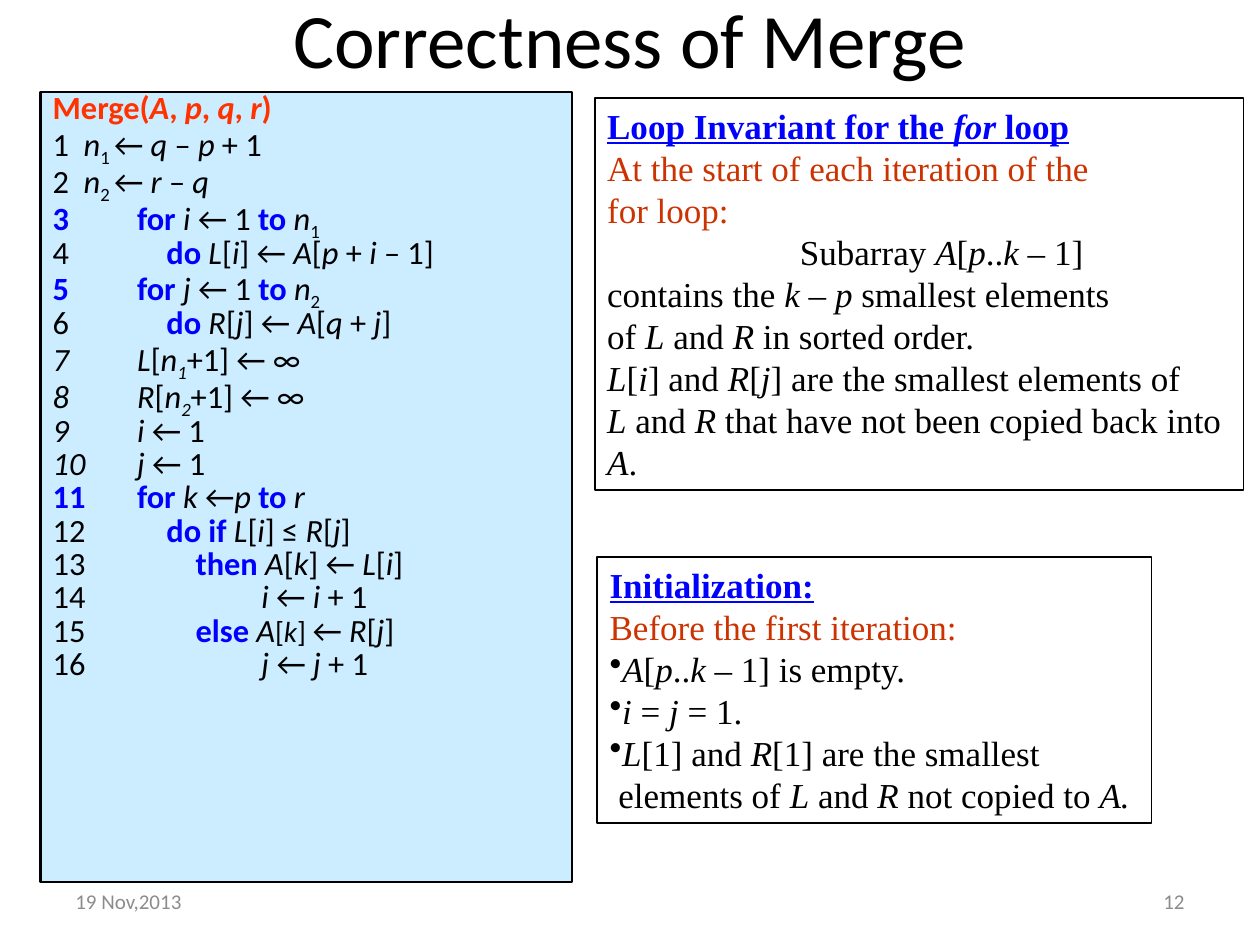
from pptx import Presentation, util as u
from pptx.dml.color import RGBColor
from pptx.enum import shapes, text
from pptx.oxml.ns import qn
from lxml import etree

THEME = {
    "sans": "Calibri", "serif": "Times New Roman",
    "black": "000000", "keyword": "0000FF", "heading": "FF3300",
    "claim": "CC3300", "panel": "CCECFF", "footer": "8C8C8C",
    "title_size": 44, "code_size": 18.5, "small_size": 16.6,
    "note_size": 20, "footer_size": 12,
}

# Inline marks: * italic, _ subscript, ` keyword, ~ small
HEADER = ["Merge(*A*, *p*, *q*, *r*)"]
ASSIGNMENTS = ["1  *n*_1 _← *q *– *p *+ 1", "2  *n*_2 _← *r *– *q*"]
NUMBERED = [
    "`for `*i *← 1 `to `*n*_1_",
    "    `do `*L*[*i*] ← *A*[*p *+ *i *– 1]",
    "`for `*j *← 1 `to `*n*_2_",
    "    `do `*R*[*j*] ← *A*[*q *+ *j*]",
    "*L*[*n_1_*+1] ← ∞",
    "*R*[*n_2_*+1] ← ∞",
    "*i* ← 1",
    "*j* ← 1",
    "`for `*k *←*p *`to `*r*",
    "    `do if `*L*[*i*] ≤ *R*[*j*]",
    "        `then `*A*[*k*] ← *L*[*i*]",
    "                 *i *← *i* + 1",
    "        `else `*A*~[*k*] ~← *R*[*j*]",
    "                 *j *← *j* + 1",
]
HEADING = {"color": "keyword", "bold": True, "underline": True}
CLAIM = {"color": "claim"}
BULLET = {"bullet": "•", "left": 0.1, "hanging": 0.1}
INVARIANT = [
    ("Loop Invariant for the *for* loop", HEADING),
    ("At the start of each iteration of the", CLAIM),
    ("for loop:", CLAIM),
    ("Subarray *A*[*p*..*k *– 1]", {"left": 1.53}),
    ("contains the *k *– *p* smallest elements", {}),
    ("of *L* and *R *in sorted order.", {}),
    ("*L*[*i*] and *R*[*j*] are the smallest elements of", {}),
    ("*L* and *R* that have not been copied back into", {}),
    ("*A*.", {}),
]
INITIALIZATION = [
    ("Initialization:", HEADING),
    ("Before the first iteration:", CLAIM),
    ("*A*[*p*..*k *– 1] is empty.", BULLET),
    ("*i *= *j *= 1.", BULLET),
    ("*L*[1] and *R*[1] are the smallest", BULLET),
    ("elements of *L* and *R* not copied to *A.*", {"left": 0.07}),
]
NOTES = [
    (INVARIANT, (4.72, 0.78, 5.15, 3.11)),
    (INITIALIZATION, (4.74, 4.42, 4.4, 2.11)),
]
FOOTERS = [("19 Nov,2013", 0.5, "LEFT"), ("12", 7.17, "RIGHT")]


def color_of(name):
    return RGBColor.from_string(THEME[name])


def split_marks(line):
    active, piece = set(), ""
    for character in line:
        if character in "*_`~":
            if piece:
                yield piece, frozenset(active)
            active ^= {character}
            piece = ""
        else:
            piece += character
    if piece:
        yield piece, frozenset(active)


def add_text(frame, line, font="sans", size="code_size", color="black", bold=False,
             underline=False, align="LEFT", left=0, hanging=0, spacing=None,
             before=0, bullet=None, start=None):
    first = not frame.paragraphs[0].runs
    paragraph = frame.paragraphs[0] if first else frame.add_paragraph()
    paragraph.alignment = text.PP_ALIGN[align]
    paragraph.line_spacing = spacing
    paragraph.space_before = u.Pt(0 if first else before)
    properties = paragraph._p.get_or_add_pPr()
    properties.set("marL", str(u.Inches(left)))
    properties.set("indent", str(-u.Inches(hanging)))
    if start:
        etree.SubElement(properties, qn("a:buAutoNum"), type="arabicPlain", startAt=str(start))
    elif bullet:
        etree.SubElement(properties, qn("a:buChar"), char=bullet)
    else:
        etree.SubElement(properties, qn("a:buNone"))
    for piece, marks in split_marks(line):
        run = paragraph.add_run()
        run.text = piece
        run.font.name = THEME[font]
        run.font.size = u.Pt(THEME["small_size" if "~" in marks else size])
        run.font.color.rgb = color_of("keyword" if "`" in marks else color)
        run.font.bold = bold or "`" in marks
        run.font.italic = "*" in marks
        run.font.underline = underline
        if "_" in marks:
            run.font._element.set("baseline", "-25000")


def add_panel(slide, box, line_width, fill=None):
    panel = slide.shapes.add_shape(shapes.MSO_SHAPE.RECTANGLE, *map(u.Inches, box))
    panel.shadow.inherit = False
    if fill:
        panel.fill.solid()
        panel.fill.fore_color.rgb = color_of(fill)
    else:
        panel.fill.background()
    panel.line.color.rgb = color_of("black")
    panel.line.width = u.Pt(line_width)
    panel.text_frame.vertical_anchor = text.MSO_ANCHOR.TOP
    return panel.text_frame


def main():
    presentation = Presentation()
    presentation.slide_width, presentation.slide_height = u.Inches(10), u.Inches(7.5)
    slide = presentation.slides.add_slide(presentation.slide_layouts[5])

    title = slide.shapes.title
    title.left, title.top, title.width, title.height = map(u.Inches, (0, -0.2, 10, 1))
    title.text_frame.vertical_anchor = text.MSO_ANCHOR.MIDDLE
    add_text(title.text_frame, "Correctness of Merge", size="title_size", align="CENTER")

    code = add_panel(slide, (0.32, 0.73, 4.22, 6.27), 1.5, "panel")
    code.word_wrap = True
    groups = [
        (HEADER, {"color": "heading", "bold": True}),
        (ASSIGNMENTS, {}),
        (NUMBERED, {"start": 3}),
    ]
    for lines, style in groups:
        for line in lines:
            add_text(code, line, left=0.67, hanging=0.67, spacing=0.7, before=3.5, **style)

    for lines, box in NOTES:
        note = add_panel(slide, box, 1)
        note.word_wrap = False
        note.auto_size = text.MSO_AUTO_SIZE.SHAPE_TO_FIT_TEXT
        for line, style in lines:
            add_text(note, line, font="serif", size="note_size", **style)

    for line, left, align in FOOTERS:
        footer = slide.shapes.add_textbox(*map(u.Inches, (left, 6.95, 2.33, 0.4))).text_frame
        footer.word_wrap = True
        footer.vertical_anchor = text.MSO_ANCHOR.MIDDLE
        add_text(footer, line, size="footer_size", color="footer", align=align)

    presentation.save("out.pptx")


if __name__ == "__main__":
    main()
